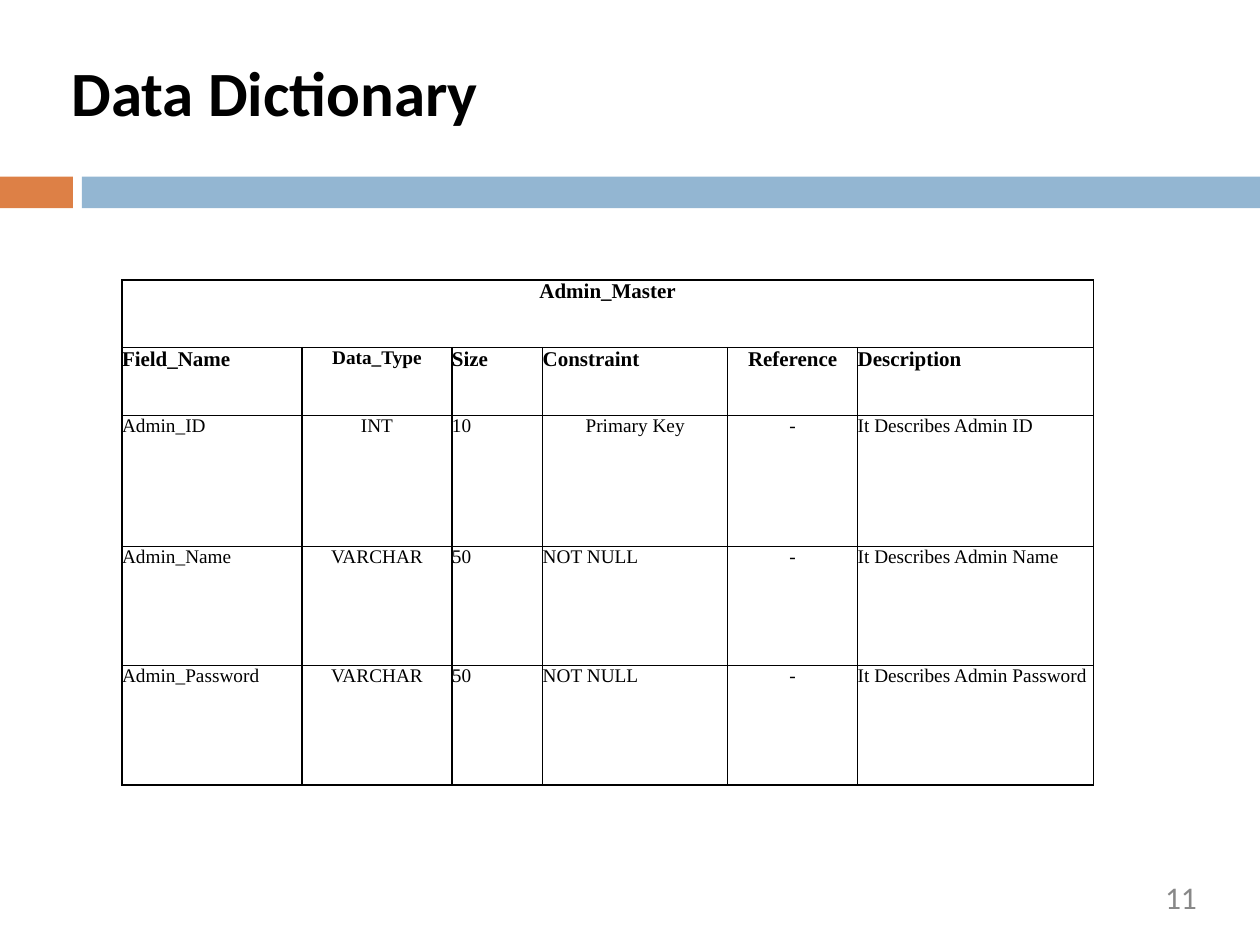
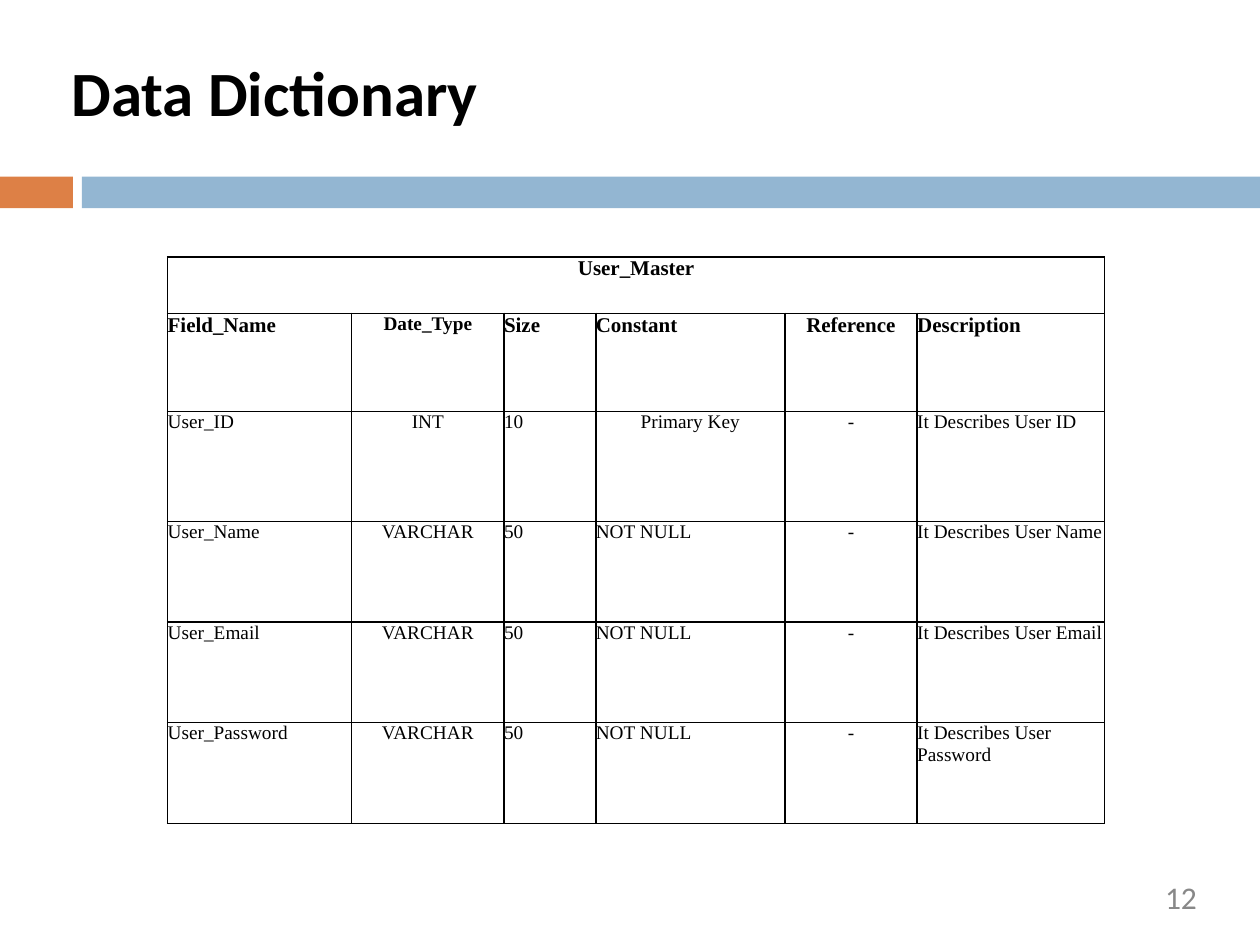
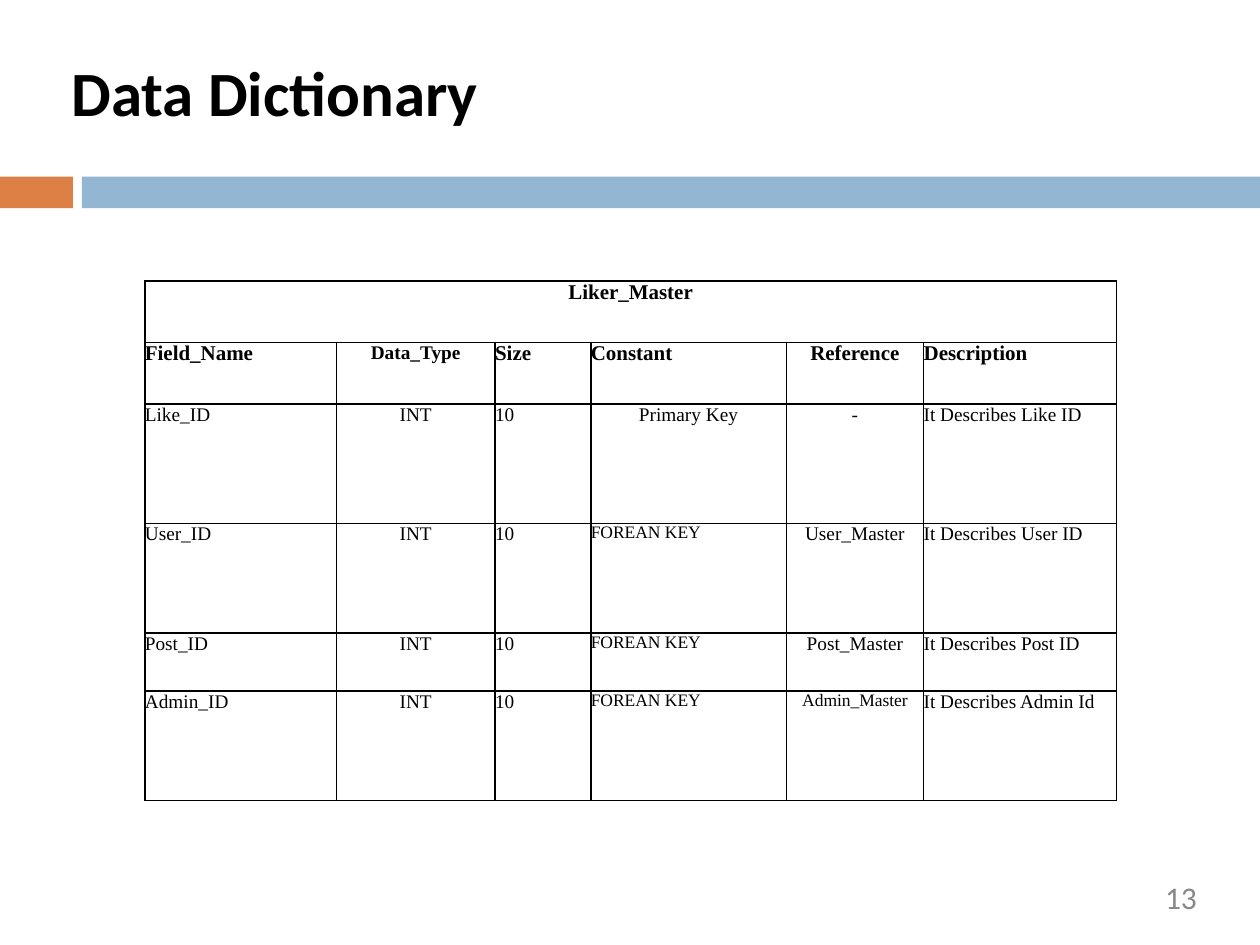
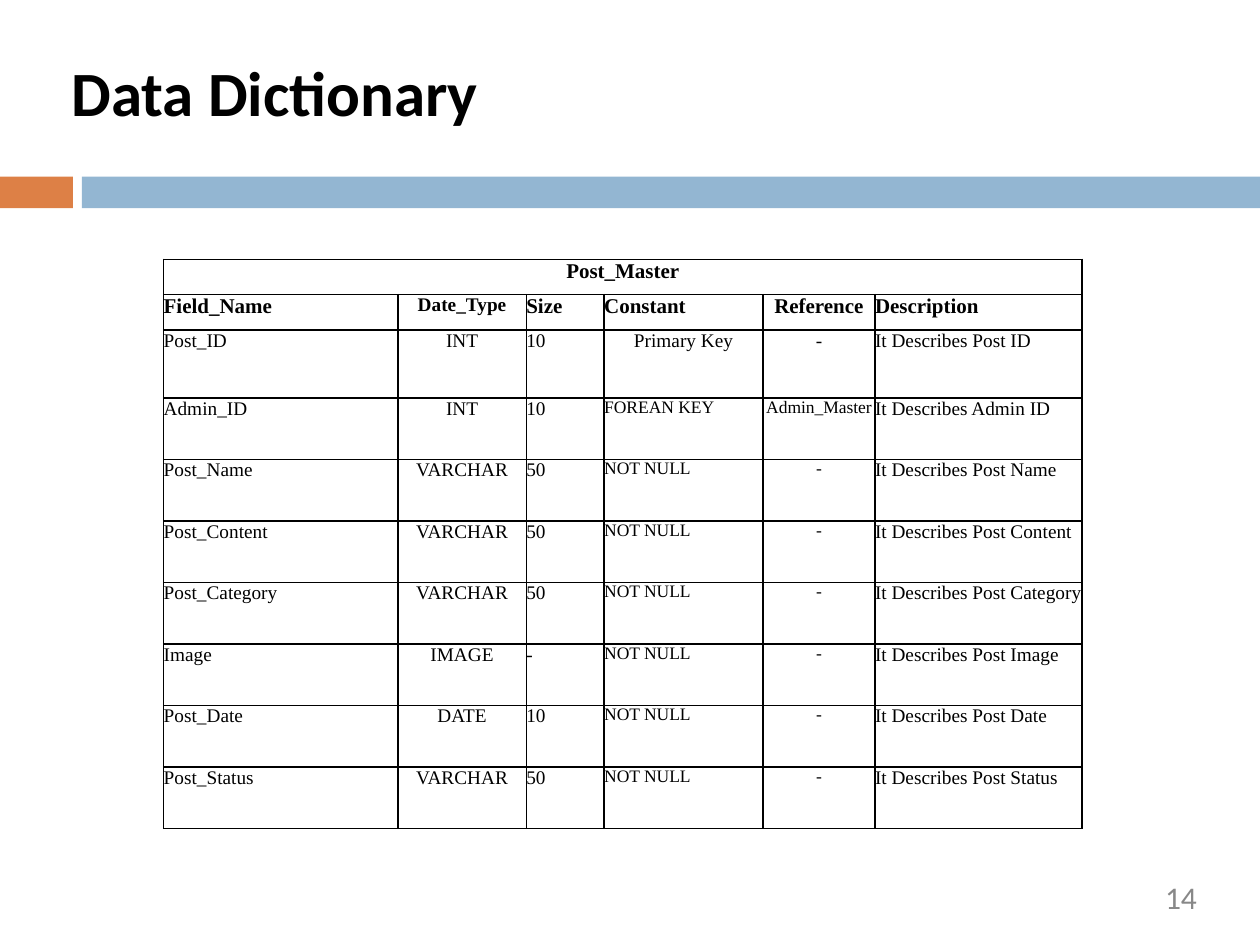
from lxml.etree import fromstring
from pptx import Presentation
from pptx.dml.color import RGBColor
from pptx.enum.shapes import MSO_SHAPE
from pptx.enum.text import PP_ALIGN
from pptx.util import Cm, Pt

BLACK = RGBColor(0x00, 0x00, 0x00)
GREY = RGBColor(0x88, 0x88, 0x88)
ORANGE = RGBColor(0xDD, 0x80, 0x46)
BLUE = RGBColor(0x93, 0xB6, 0xD2)
LEFT, MID, RIGHT = PP_ALIGN.LEFT, PP_ALIGN.CENTER, PP_ALIGN.RIGHT

TITLE = {"name": "Calibri", "size": Pt(36), "bold": True}
FOOT = {"name": "Calibri", "size": Pt(18), "bold": False}
HEAD = {"name": "Times New Roman", "size": Pt(12), "bold": True}
BODY = {"name": "Times New Roman", "size": Pt(11), "bold": False}
FLUSH = {f"margin_{side}": 0 for side in ("left", "top", "right", "bottom")}
EDGE = (
    '<a:{} xmlns:a="http://schemas.openxmlformats.org/drawingml/2006/main" w="12700">'
    '<a:solidFill><a:srgbClr val="000000"/></a:solidFill></a:{}>'
)

TABLES = [
    {
        "name": "Admin_Master",
        "spot": (2.46, 5.64),
        "cols": (3.63, 3.02, 1.83, 3.73, 2.62, 4.75),
        "tall": (1.37, 1.37, 2.64, 2.4, 2.4),
        "fine": 11,
        "heads": ("Data_Type", "Constraint"),
        "rows": [
            ("Admin_ID", "INT", "10", "Primary Key", "-", "Admin ID"),
            ("Admin_Name", "VARCHAR", "50", "NOT NULL", "-", "Admin Name"),
            ("Admin_Password", "VARCHAR", "50", "NOT NULL", "-", "Admin Password"),
        ],
    },
    {
        "name": "User_Master",
        "spot": (3.38, 5.18),
        "cols": (3.71, 3.07, 1.85, 3.81, 2.67, 3.78),
        "tall": (1.14, 1.98, 2.21, 2.03, 2.03, 2.03),
        "fine": 11,
        "heads": ("Date_Type", "Constant"),
        "rows": [
            ("User_ID", "INT", "10", "Primary Key", "-", "User ID"),
            ("User_Name", "VARCHAR", "50", "NOT NULL", "-", "User Name"),
            ("User_Email", "VARCHAR", "50", "NOT NULL", "-", "User Email"),
            ("User_Password", "VARCHAR", "50", "NOT NULL", "-", "User Password"),
        ],
    },
    {
        "name": "Liker_Master",
        "spot": (2.92, 5.66),
        "cols": (3.86, 3.2, 1.93, 3.94, 2.77, 3.89),
        "tall": (1.24, 1.24, 2.41, 2.21, 1.17, 2.21),
        "fine": 10,
        "heads": ("Data_Type", "Constant"),
        "rows": [
            ("Like_ID", "INT", "10", "Primary Key", "-", "Like ID"),
            ("User_ID", "INT", "10", "FOREAN KEY", "User_Master", "User ID"),
            ("Post_ID", "INT", "10", "FOREAN KEY", "Post_Master", "Post ID"),
            ("Admin_ID", "INT", "10", "FOREAN KEY", "Admin_Master", "Admin Id"),
        ],
    },
    {
        "name": "Post_Master",
        "spot": (3.3, 5.23),
        "cols": (4.72, 2.59, 1.57, 3.2, 2.26, 4.17),
        "tall": (0.71, 0.71, 1.37) + (1.24,) * 7,
        "fine": 10,
        "heads": ("Date_Type", "Constant"),
        "rows": [
            ("Post_ID", "INT", "10", "Primary Key", "-", "Post ID"),
            ("Admin_ID", "INT", "10", "FOREAN KEY", "Admin_Master", "Admin ID"),
            ("Post_Name", "VARCHAR", "50", "NOT NULL", "-", "Post Name"),
            ("Post_Content", "VARCHAR", "50", "NOT NULL", "-", "Post Content"),
            ("Post_Category", "VARCHAR", "50", "NOT NULL", "-", "Post Category"),
            ("Image", "IMAGE", "-", "NOT NULL", "-", "Post Image"),
            ("Post_Date", "DATE", "10", "NOT NULL", "-", "Post Date"),
            ("Post_Status", "VARCHAR", "50", "NOT NULL", "-", "Post Status"),
        ],
    },
]


def apply(item, form):
    """Set each attribute named in a dict of format values."""
    for key, value in form.items():
        setattr(item, key, value)


class Deck:
    """Hold the shared style and the current slide."""

    def __init__(self):
        """Start an empty 4:3 deck."""
        self.prs = Presentation()
        self.prs.slide_width, self.prs.slide_height = Cm(25.4), Cm(19.05)
        self.slide = None

    def page(self, title, number):
        """Add a slide with its bands, title and number."""
        self.slide = self.prs.slides.add_slide(self.prs.slide_layouts[6])
        self.band(0, 1.47, ORANGE)
        self.band(1.65, 23.75, BLUE)
        self.text(title, (1.44, 1.08, 22.53, 1.75), TITLE, BLACK, LEFT)
        self.text(str(number), (18.29, 17.7, 5.84, 0.97), FOOT, GREY, RIGHT)

    def band(self, left, width, color):
        """Draw one piece of the band below the title."""
        bar = self.slide.shapes.add_shape(
            MSO_SHAPE.RECTANGLE, Cm(left), Cm(3.56), Cm(width), Cm(0.64)
        )
        bar.shadow.inherit = False
        bar.fill.solid()
        bar.fill.fore_color.rgb = color
        bar.line.fill.background()

    def text(self, words, place, form, color, align):
        """Add a text box without margins."""
        frame = self.slide.shapes.add_textbox(*map(Cm, place)).text_frame
        apply(frame, {**FLUSH, "word_wrap": True})
        self.label(frame, words, form, color, align)

    def label(self, frame, words, form, color, align):
        """Put one styled run into a frame."""
        para = frame.paragraphs[0]
        para.alignment = align
        run = para.add_run()
        run.text = words
        apply(run.font, form)
        run.font.color.rgb = color

    def cell(self, cell, words, form, align):
        """Fill a table cell and draw its borders."""
        apply(cell, FLUSH)
        cell.fill.background()
        props = cell._tc.get_or_add_tcPr()
        for place, tag in enumerate(("lnL", "lnR", "lnT", "lnB")):
            props.insert(place, fromstring(EDGE.format(tag, tag)))
        if words:
            self.label(cell.text_frame, words, form, BLACK, align)

    def table(self, name, spot, cols, tall, fine, heads, rows):
        """Add a data table with a merged name row and a heading row."""
        kind, rule = heads
        lines = [
            (name,) + ("",) * 5,
            ("Field_Name", kind, "Size", rule, "Reference", "Description"),
        ] + [row[:5] + (f"It Describes {row[5]}",) for row in rows]
        place = (*spot, sum(cols), sum(tall))
        grid = self.slide.shapes.add_table(len(lines), 6, *map(Cm, place)).table
        apply(grid, {"first_row": False, "horz_banding": False})
        for col, width in zip(grid.columns, cols):
            col.width = Cm(width)
        for row, height in zip(grid.rows, tall):
            row.height = Cm(height)
        grid.cell(0, 0).merge(grid.cell(0, 5))
        for r, line in enumerate(lines):
            for c, words in enumerate(line):
                form = dict(HEAD if r < 2 else BODY)
                if r == 1 and c == 1:
                    form["size"] = Pt(11)
                if r > 2 and (c == 3 or c == 4 and words in ("-", "Admin_Master")):
                    form["size"] = Pt(fine)
                mid = r == 0 or c in (1, 4) or words == "Primary Key"
                self.cell(grid.cell(r, c), words, form, MID if mid else LEFT)


def main():
    """Build the four data dictionary slides."""
    deck = Deck()
    for number, data in enumerate(TABLES, 11):
        deck.page("Data Dictionary", number)
        deck.table(**data)
    deck.prs.save("out.pptx")


if __name__ == "__main__":
    main()
